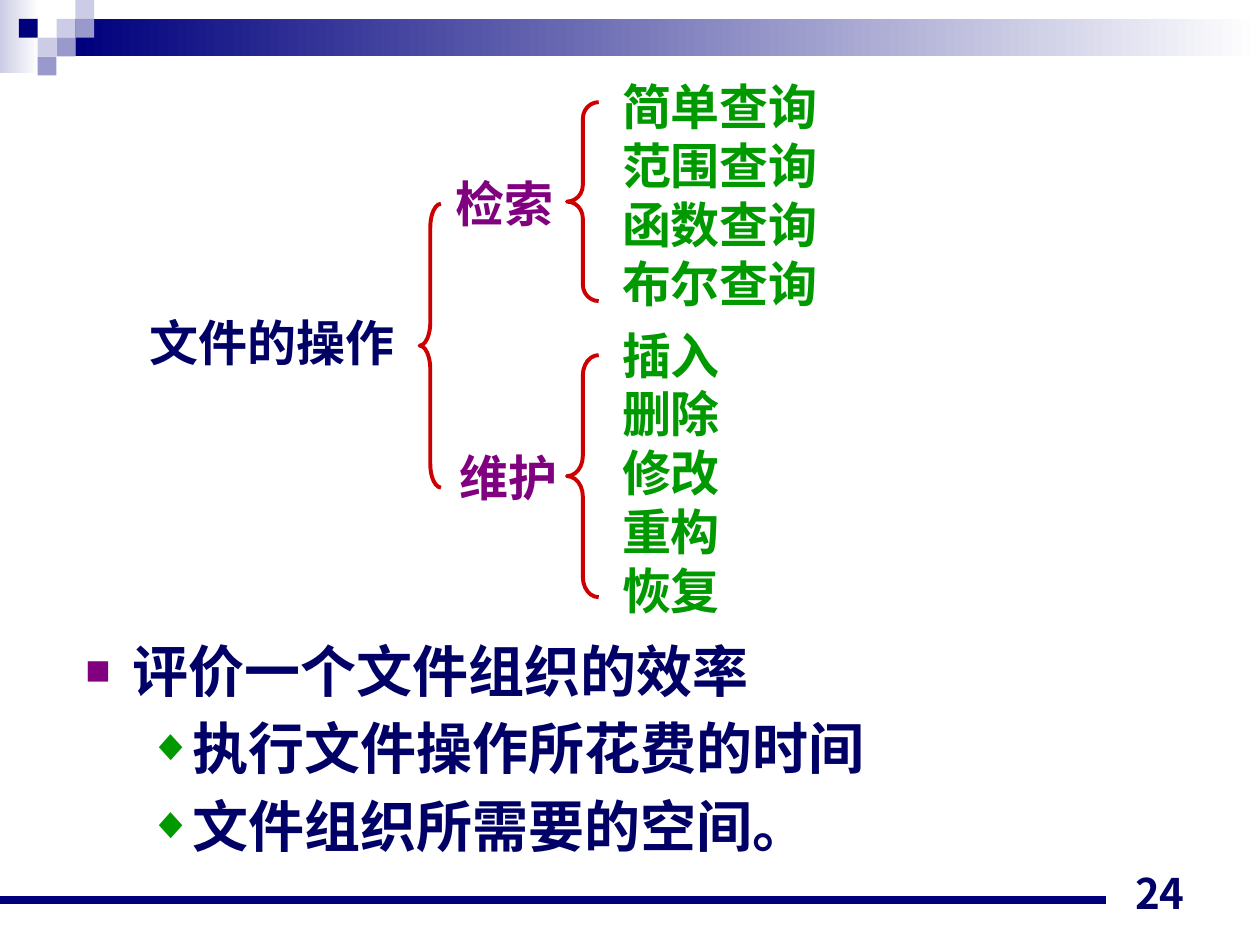
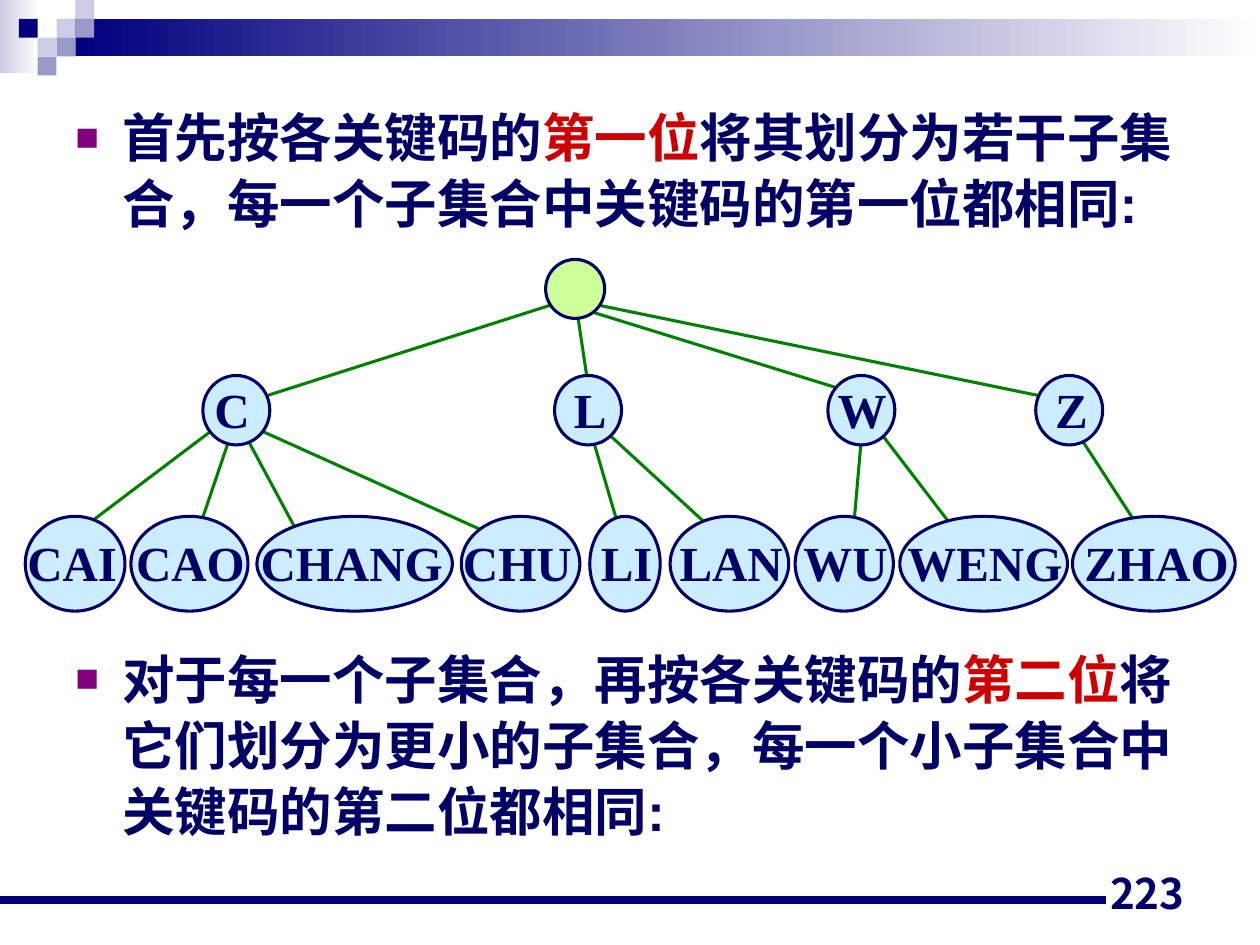
from typing import NamedTuple, Optional

from lxml.etree import SubElement
from pptx import Presentation
from pptx.dml.color import RGBColor
from pptx.enum.lang import MSO_LANGUAGE_ID as LANG
from pptx.enum.shapes import MSO_CONNECTOR as CONN, MSO_SHAPE as SHAPE
from pptx.enum.text import MSO_ANCHOR as ANCHOR, MSO_AUTO_SIZE as FIT
from pptx.enum.text import PP_ALIGN as ALIGN
from pptx.oxml.ns import qn
from pptx.util import Cm, Pt

NAVY = RGBColor(0x00, 0x00, 0x7D)
INK = RGBColor(0x00, 0x00, 0x66)
LILAC = RGBColor(0xCC, 0xCC, 0xE6)
MAUVE = RGBColor(0x99, 0x99, 0xCC)
WHITE = RGBColor(0xFF, 0xFF, 0xFF)
PURPLE = RGBColor(0x80, 0x00, 0x80)
GREEN = RGBColor(0x00, 0x99, 0x00)
EDGE_GREEN = RGBColor(0x00, 0x80, 0x00)
RED = RGBColor(0xCC, 0x00, 0x00)
SKY = RGBColor(0xCC, 0xEC, 0xFF)
LIME = RGBColor(0xCC, 0xFF, 0x99)

SANS, SERIF, NUMBER_FONT = "Arial", "Times New Roman", "Noto Sans CJK JP"
CELL = 0.38  # side of one mosaic square, cm


class Box(NamedTuple):
    """Left, top, width and height in centimetres."""
    left: float
    top: float
    width: float
    height: float


class Style(NamedTuple):
    """Font of a run."""
    size: float
    font: str = SERIF
    color: RGBColor = INK


class Bullet(NamedTuple):
    """Bullet sign with its indents in centimetres."""
    char: str
    color: RGBColor
    percent: int
    left: float
    hanging: float


class Label(NamedTuple):
    """Bold label of one or more lines."""
    lines: list[str]
    box: Box
    color: RGBColor


class Node(NamedTuple):
    """Tree node: ellipse and label extents in centimetres."""
    text: str
    left: float
    width: float
    text_left: float
    text_width: float


class Edge(NamedTuple):
    """Straight tree edge in centimetres."""
    x1: float
    y1: float
    x2: float
    y2: float


SQUARE = Bullet("■", PURPLE, 75, 0.95, 0.95)
DIAMOND = Bullet("◆", GREEN, 80, 2.06, 0.79)

MOSAIC = [(3, 1, LILAC), (4, 0, LILAC), (4, 1, MAUVE), (2, 2, LILAC),
          (1, 1, NAVY), (3, 2, MAUVE), (2, 3, MAUVE)]

LABELS = [
    Label(["文件的操作"], Box(2.77, 6.17, 5.44, 1.45), INK),
    Label(["检索"], Box(8.94, 3.38, 2.5, 1.45), PURPLE),
    Label(["维护"], Box(9.02, 8.89, 2.5, 1.45), PURPLE),
    Label(["简单查询", "范围查询", "函数查询", "布尔查询"],
          Box(12.29, 1.42, 4.45, 5.0), GREEN),
    Label(["插入", "删除", "修改", "重构", "恢复"],
          Box(12.29, 6.43, 2.5, 6.2), GREEN),
]
BRACES = [Box(8.46, 4.11, 0.43, 5.72), Box(11.43, 2.06, 0.64, 4.01),
          Box(11.43, 7.16, 0.64, 4.88)]

BRANCHES = [Node(text, left, 1.35, text_left, 1.8) for text, left, text_left in
            [("C", 4.09, 3.78), ("L", 11.18, 11.0),
             ("W", 16.69, 16.48), ("Z", 20.88, 20.7)]]
LEAVES = [
    Node("CAI", 0.51, 2.01, 0.3, 2.31),
    Node("CAO", 2.64, 2.36, 2.39, 2.9),
    Node("CHANG", 5.18, 3.94, 4.78, 4.62),
    Node("CHU", 9.3, 2.39, 8.97, 2.92),
    Node("LI", 11.89, 1.42, 11.48, 2.31),
    Node("LAN", 13.51, 2.39, 13.28, 2.92),
    Node("WU", 16.03, 1.98, 15.7, 2.69),
    Node("WENG", 18.14, 3.38, 17.81, 4.09),
    Node("ZHAO", 21.62, 3.28, 21.51, 3.61),
]
EDGES = [
    Edge(11.51, 6.02, 5.21, 8.03), Edge(11.61, 6.12, 11.91, 8.13),
    Edge(11.71, 6.22, 17.2, 7.92), Edge(11.91, 6.12, 21.21, 8.03),
    Edge(4.6, 8.43, 1.7, 10.62), Edge(4.8, 8.33, 3.99, 10.72),
    Edge(4.6, 8.13, 5.99, 10.72), Edge(4.7, 8.43, 10.01, 10.82),
    Edge(11.71, 8.03, 12.5, 10.72), Edge(11.81, 8.33, 14.3, 10.62),
    Edge(17.4, 8.43, 17.2, 10.72), Edge(17.6, 8.53, 19.2, 10.62),
    Edge(21.59, 8.53, 23.01, 10.72),
]


def add_shape(s, kind: SHAPE, box: Box, fill: Optional[RGBColor] = None,
              line: Optional[RGBColor] = None, width: float = 1.76):
    """Add a preset shape without shadow; no colour means none drawn."""
    sp = s.shapes.add_shape(kind, *map(Cm, box))
    sp.shadow.inherit = False
    if fill is None:
        sp.fill.background()
    else:
        sp.fill.solid()
        sp.fill.fore_color.rgb = fill
    if line is None:
        sp.line.fill.background()
    else:
        sp.line.color.rgb = line
        sp.line.width = Pt(width)
    return sp


def add_fade(s, box: Box, color: RGBColor) -> None:
    """Add a band that fades to white on the right."""
    sp = add_shape(s, SHAPE.RECTANGLE, box)
    sp.fill.gradient()
    sp.fill.gradient_angle = 0
    for stop, rgb in zip(sp.fill.gradient_stops, (color, WHITE)):
        stop.color.rgb = rgb


def add_line(s, edge: Edge, color: RGBColor, width: float) -> None:
    """Add a straight connector without shadow."""
    cx = s.shapes.add_connector(CONN.STRAIGHT, *map(Cm, edge))
    cx.line.color.rgb = color
    cx.line.width = Pt(width)
    SubElement(cx._element.spPr, qn("a:effectLst"))


def add_text_frame(s, box: Box, wrap: bool = True):
    """Add an empty text box and return its frame."""
    tf = s.shapes.add_textbox(*map(Cm, box)).text_frame
    tf.word_wrap = wrap
    return tf


def add_run(p, text: str, style: Style) -> None:
    """Add one bold run."""
    r = p.add_run()
    r.text = text
    r.font.size = Pt(style.size)
    r.font.name = style.font
    r.font.bold = True
    r.font.color.rgb = style.color
    r.font.language_id = LANG.SIMPLIFIED_CHINESE


def set_bullet(p, bullet: Bullet) -> None:
    """Give a paragraph its bullet and hanging indent."""
    pPr = p._p.get_or_add_pPr()
    pPr.set("marL", str(Cm(bullet.left)))
    pPr.set("indent", str(-Cm(bullet.hanging)))
    color = SubElement(pPr, qn("a:buClr"))
    SubElement(color, qn("a:srgbClr"), val=str(bullet.color))
    SubElement(pPr, qn("a:buSzPct"), val=str(bullet.percent * 1000))
    SubElement(pPr, qn("a:buFont"), typeface=SANS)
    SubElement(pPr, qn("a:buChar"), char=bullet.char)


def add_label(s, label: Label) -> None:
    """Add a label that grows with its text, one paragraph for each line."""
    tf = add_text_frame(s, label.box, wrap=False)
    tf.auto_size = FIT.SHAPE_TO_FIT_TEXT
    for i, line in enumerate(label.lines):
        p = tf.add_paragraph() if i else tf.paragraphs[0]
        add_run(p, line, Style(28, color=label.color))


def add_brace(s, box: Box) -> None:
    """Add a left brace whose bends are a twelfth of its height."""
    sp = add_shape(s, SHAPE.LEFT_BRACE, box, line=RED, width=2.24)
    sp.adjustments[0] = box.height / 12 / box.width


def add_nodes(s, nodes: list[Node], top: float, height: float,
              text_top: float) -> None:
    """Add one row of labelled ellipses."""
    for node in nodes:
        add_shape(s, SHAPE.OVAL, Box(node.left, top, node.width, height),
                  SKY, INK)
        box = Box(node.text_left, text_top, node.text_width, 1.45)
        p = add_text_frame(s, box).paragraphs[0]
        p.alignment = ALIGN.CENTER
        add_run(p, node.text, Style(28))


def add_statement(s, box: Box, before: str, key: str, after: str) -> None:
    """Add a bulleted statement with its key words in red."""
    p = add_text_frame(s, box).paragraphs[0]
    p.line_spacing = 1.05
    p.space_before = Pt(7.5)
    set_bullet(p, SQUARE)
    for text, color in ((before, INK), (key, RED), (after, INK)):
        add_run(p, text, Style(30, SANS, color))


def new_slide(prs, number: int):
    """Add a blank slide with header band, mosaic, rule and page number."""
    s = prs.slides.add_slide(prs.slide_layouts[6])
    add_fade(s, Box(0, 0, 0.79, 1.47), LILAC)
    add_fade(s, Box(1.52, CELL, 23.88, 0.76), NAVY)
    for col, row, color in MOSAIC:
        add_shape(s, SHAPE.RECTANGLE,
                  Box(col * CELL, row * CELL, CELL, CELL), color)
    add_line(s, Edge(0, 18.14, 22.3, 18.14), NAVY, 4.51)
    tf = add_text_frame(s, Box(18.21, 17.35, 5.92, 1.27))
    tf.vertical_anchor = ANCHOR.BOTTOM
    tf.paragraphs[0].alignment = ALIGN.RIGHT
    add_run(tf.paragraphs[0], str(number), Style(24, NUMBER_FONT))
    return s


def build_operations(prs) -> None:
    """Slide on file operations and efficiency."""
    s = new_slide(prs, 24)
    for label in LABELS:
        add_label(s, label)
    for box in BRACES:
        add_brace(s, box)
    tf = add_text_frame(s, Box(1.47, 12.7, 21.59, 5.08))
    points = [("评价一个文件组织的效率", SQUARE),
              ("执行文件操作所花费的时间", DIAMOND),
              ("文件组织所需要的空间。", DIAMOND)]
    for i, (text, bullet) in enumerate(points):
        p = tf.add_paragraph() if i else tf.paragraphs[0]
        p.space_before = Pt(6)
        set_bullet(p, bullet)
        add_run(p, text, Style(32, SANS))


def build_key_tree(prs) -> None:
    """Slide on splitting keys by their first position."""
    s = new_slide(prs, 223)
    add_statement(s, Box(1.27, 1.93, 22.86, 3.2), "首先按各关键码的", "第一位",
                  "将其划分为若干子集合，每一个子集合中关键码的第一位都相同:")
    add_statement(s, Box(1.27, 12.85, 22.86, 4.78),
                  "对于每一个子集合，再按各关键码的", "第二位",
                  "将它们划分为更小的子集合，每一个小子集合中关键码的第二位都相同:")
    for edge in EDGES:
        add_line(s, edge, EDGE_GREEN, 1.76)
    add_nodes(s, LEAVES, 10.41, 1.91, 10.62)
    add_shape(s, SHAPE.OVAL, Box(11, 5.23, 1.19, 1.19), LIME, INK)
    add_nodes(s, BRANCHES, 7.57, 1.4, 7.52)


prs = Presentation()
prs.slide_width, prs.slide_height = Cm(25.4), Cm(19.05)
build_operations(prs)
build_key_tree(prs)
prs.save("out.pptx")
